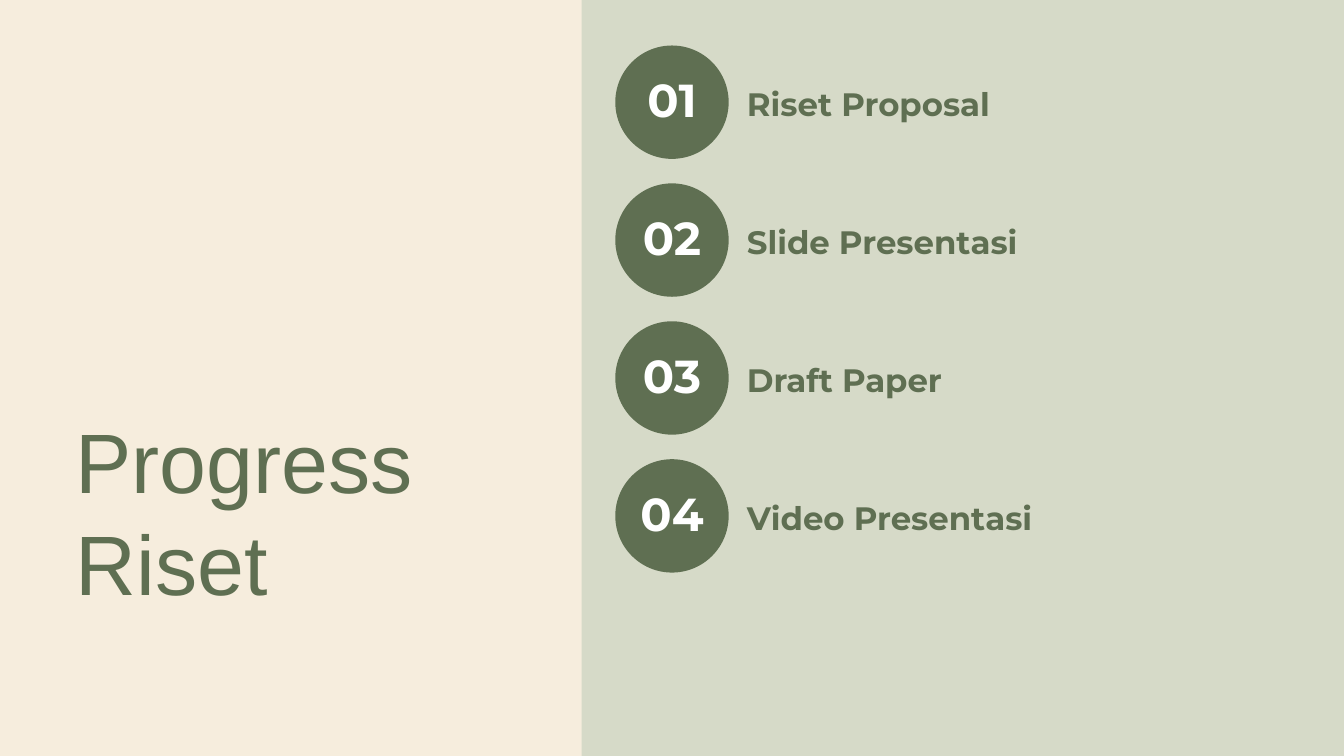
from pptx import Presentation
from pptx.dml.color import RGBColor
from pptx.enum.shapes import MSO_SHAPE
from pptx.enum.text import MSO_ANCHOR, PP_ALIGN
from pptx.util import Pt

PX = 9525  # EMU per px, 96 px to the inch
COLORS = {"cream": "F6EDDD", "sage": "D6DAC8", "moss": "5F6F52", "white": "FFFFFF"}
STEPS = ["Riset Proposal", "Slide Presentasi", "Draft Paper", "Video Presentasi"]
STEP_TOP, STEP_PITCH = 65, 197

prs = Presentation()
prs.slide_width, prs.slide_height = 1920 * PX, 1080 * PX
s = prs.slides.add_slide(prs.slide_layouts[6])
s.background.fill.solid()
s.background.fill.fore_color.rgb = RGBColor.from_string(COLORS["cream"])


def add_filled(kind, x, y, w, h, color):
    sp = s.shapes.add_shape(kind, x * PX, y * PX, w * PX, h * PX)
    sp.shadow.inherit = False
    sp.fill.solid()
    sp.fill.fore_color.rgb = RGBColor.from_string(COLORS[color])
    sp.line.fill.background()


def add_text(text, x, y, w, h, size, spacing, font, color, bold=True,
             align=PP_ALIGN.LEFT, anchor=MSO_ANCHOR.TOP, inset=0):
    """Add one paragraph in a wrapping box; size and spacing are points."""
    tf = s.shapes.add_textbox(x * PX, y * PX, w * PX, h * PX).text_frame
    tf.word_wrap = True
    tf.vertical_anchor = anchor
    tf.margin_left = tf.margin_right = tf.margin_top = tf.margin_bottom = inset * PX
    p = tf.paragraphs[0]
    p.alignment = align
    p.line_spacing = Pt(spacing)
    r = p.add_run()
    r.text = text
    r.font.name = font
    r.font.size = Pt(size)
    r.font.bold = bold
    r.font.color.rgb = RGBColor.from_string(COLORS[color])


# Right panel bleeds past the slide edges
add_filled(MSO_SHAPE.RECTANGLE, 831, -29, 1107, 1122, "sage")

# Numbered steps
for i, step in enumerate(STEPS):
    y = STEP_TOP + i * STEP_PITCH
    add_filled(MSO_SHAPE.OVAL, 879, y, 162, 162, "moss")
    add_text(f"{i + 1:02}", 894, y - 6, 132, 153, 49.5, 69.3, "Montserrat", "white",
             align=PP_ALIGN.CENTER, anchor=MSO_ANCHOR.MIDDLE, inset=6)
    add_text(step, 1067, y + 46, 745, 61, 34.7, 48.6, "Montserrat", "moss")

# Title
add_text("Progress Riset", 108, 583, 699, 290, 90.3, 109.3, "Arial", "moss", bold=False)

prs.save("out.pptx")
